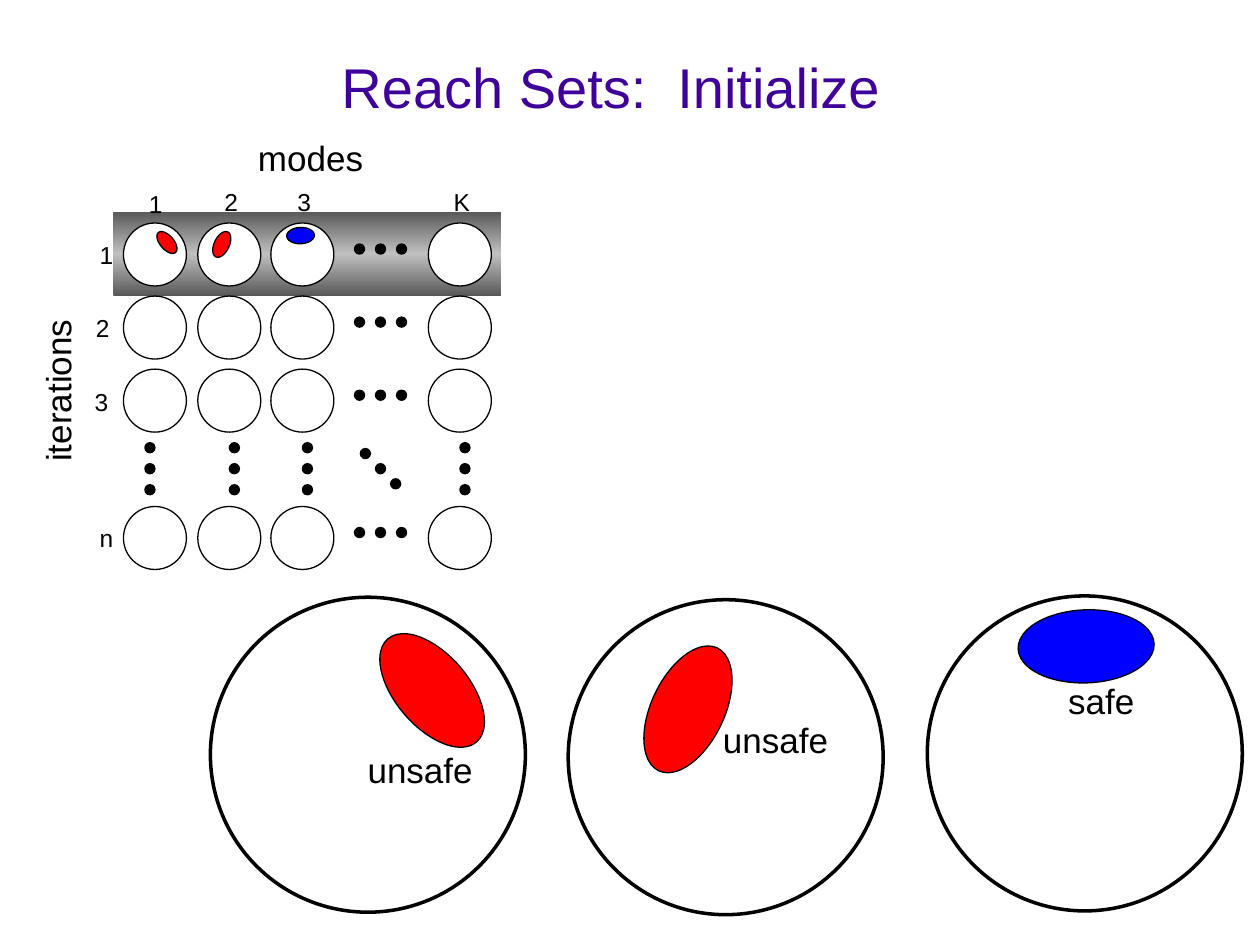
from copy import deepcopy
from dataclasses import dataclass
from typing import Optional

from pptx import Presentation
from pptx.dml.color import RGBColor
from pptx.enum.shapes import MSO_SHAPE
from pptx.enum.text import MSO_ANCHOR, MSO_AUTO_SIZE, PP_ALIGN
from pptx.oxml.ns import qn
from pptx.slide import Slide
from pptx.util import Inches, Pt

OVAL = MSO_SHAPE.OVAL
RECTANGLE = MSO_SHAPE.RECTANGLE
CENTER = PP_ALIGN.CENTER
MIDDLE = MSO_ANCHOR.MIDDLE
FIXED_SIZE = MSO_AUTO_SIZE.NONE

BLACK = RGBColor(0x00, 0x00, 0x00)
WHITE = RGBColor(0xFF, 0xFF, 0xFF)
RED = RGBColor(0xFF, 0x00, 0x00)
BLUE = RGBColor(0x00, 0x00, 0xFF)
PURPLE = RGBColor(0x3E, 0x00, 0x98)
DARK_GRAY = RGBColor(0x58, 0x58, 0x58)
LIGHT_GRAY = RGBColor(0xC0, 0xC0, 0xC0)

FONT = "Arial"
COLUMNS = (0.98, 1.57, 2.15, 3.4)
ROWS = (1.77, 2.35, 2.93, 4.02)
CELL = 0.5
DOT = 0.08
DOT_GAP = CELL / 3
DIAGONAL_GAP = 0.12
DOTS_X = 2.98
DOTS_Y = 3.68
VERTICAL_DOTS_X = (1.15, 1.82, 2.4, 3.65)


@dataclass
class Ellipse:
    left: float
    top: float
    width: float
    height: float
    fill: Optional[RGBColor] = None
    rotation: float = 0
    line_width: float = 0.75


@dataclass
class Label:
    text: str
    left: float
    top: float
    width: float = 0.31
    height: float = 0.34
    size: int = 14
    color: RGBColor = BLACK
    rotation: float = 0


MODE_CIRCLES = [
    Ellipse(left, top, 2.5, 2.5, WHITE, line_width=2)
    for left, top in ((1.67, 4.74), (4.51, 4.76), (7.36, 4.73))
]
REACH_SETS = [
    Ellipse(3.14, 4.94, 0.58, 1.08, RED, 319.3),
    Ellipse(5.17, 5.09, 0.58, 1.08, RED, 25.5),
    Ellipse(8.33, 4.59, 0.58, 1.08, BLUE, 87.9),
    Ellipse(1.27, 1.82, 0.11, 0.21, RED, 319.3),
    Ellipse(1.7, 1.83, 0.12, 0.22, RED, 25.5),
    Ellipse(2.32, 1.76, 0.13, 0.22, BLUE, 87.9),
]
LABELS = [
    Label("Reach Sets:  Initialize", 0.33, 0.39, 9.04, 0.58, 32, PURPLE),
    Label("modes", 1.95, 1.03, 1.03, 0.44, 20),
    Label("iterations", -0.21, 2.88, 1.33, 0.44, 20, rotation=270),
    Label("1", 1.08, 1.45),
    Label("2", 1.68, 1.43),
    Label("3", 2.26, 1.43),
    Label("K", 3.5, 1.43, 0.33),
    Label("1", 0.69, 1.85),
    Label("2", 0.66, 2.43),
    Label("3", 0.65, 3.02),
    Label("n", 0.69, 4.1),
    Label("unsafe", 2.82, 5.89, 1.03, 0.44, 20),
    Label("unsafe", 5.64, 5.65, 1.03, 0.44, 20),
    Label("safe", 8.38, 5.34, 0.72, 0.44, 20),
]


def add_ellipse(slide: Slide, ellipse: Ellipse) -> None:
    """Draw one outlined ellipse."""
    shape = slide.shapes.add_shape(
        OVAL, Inches(ellipse.left), Inches(ellipse.top),
        Inches(ellipse.width), Inches(ellipse.height))
    shape.shadow.inherit = False
    shape.rotation = ellipse.rotation
    if ellipse.fill is None:
        shape.fill.background()
    else:
        shape.fill.solid()
        shape.fill.fore_color.rgb = ellipse.fill
    shape.line.color.rgb = BLACK
    shape.line.width = Pt(ellipse.line_width)


def add_dots(slide: Slide, left: float, top: float, step_x: float, step_y: float) -> None:
    """Draw three dots around the middle one."""
    for step in (-1, 0, 1):
        add_ellipse(slide, Ellipse(left + step * step_x, top + step * step_y, DOT, DOT, BLACK))


def add_label(slide: Slide, label: Label) -> None:
    """Write one centred, unwrapped label."""
    box = slide.shapes.add_textbox(
        Inches(label.left), Inches(label.top), Inches(label.width), Inches(label.height))
    box.rotation = label.rotation
    frame = box.text_frame
    frame.word_wrap = False
    frame.auto_size = FIXED_SIZE
    frame.vertical_anchor = MIDDLE
    frame.margin_left = frame.margin_right = Inches(0)
    paragraph = frame.paragraphs[0]
    paragraph.text = label.text
    paragraph.alignment = CENTER
    paragraph.font.name = FONT
    paragraph.font.size = Pt(label.size)
    paragraph.font.color.rgb = label.color


def add_highlight(slide: Slide) -> None:
    """Draw the shaded band behind the first iteration."""
    band = slide.shapes.add_shape(
        RECTANGLE, Inches(0.9), Inches(1.68), Inches(3.08), Inches(0.67))
    band.shadow.inherit = False
    band.line.fill.background()
    band.fill.gradient()
    band.fill.gradient_angle = 90
    stop_list = band.fill._xPr.find(qn("a:gradFill")).find(qn("a:gsLst"))
    stop_list.append(deepcopy(stop_list[0]))
    colors = (DARK_GRAY, LIGHT_GRAY, DARK_GRAY)
    for stop, color, position in zip(band.fill.gradient_stops, colors, (0, 0.5, 1)):
        stop.color.rgb = color
        stop.position = position


def add_grid(slide: Slide) -> None:
    """Draw the modes by iterations grid with its continuation dots."""
    for row, top in enumerate(ROWS):
        for left in COLUMNS:
            add_ellipse(slide, Ellipse(left, top, CELL, CELL, WHITE if row == 0 else None))
        add_dots(slide, DOTS_X, top + DOT_GAP, DOT_GAP, 0)
    for left in VERTICAL_DOTS_X:
        add_dots(slide, left, DOTS_Y, 0, DOT_GAP)
    add_dots(slide, DOTS_X, DOTS_Y, DIAGONAL_GAP, DIAGONAL_GAP)


def main() -> None:
    """Build and save the slide."""
    presentation = Presentation()
    presentation.slide_width = Inches(10)
    presentation.slide_height = Inches(7.5)
    slide = presentation.slides.add_slide(presentation.slide_layouts[6])
    add_highlight(slide)
    add_grid(slide)
    for ellipse in MODE_CIRCLES + REACH_SETS:
        add_ellipse(slide, ellipse)
    for label in LABELS:
        add_label(slide, label)
    presentation.save("out.pptx")


if __name__ == "__main__":
    main()
